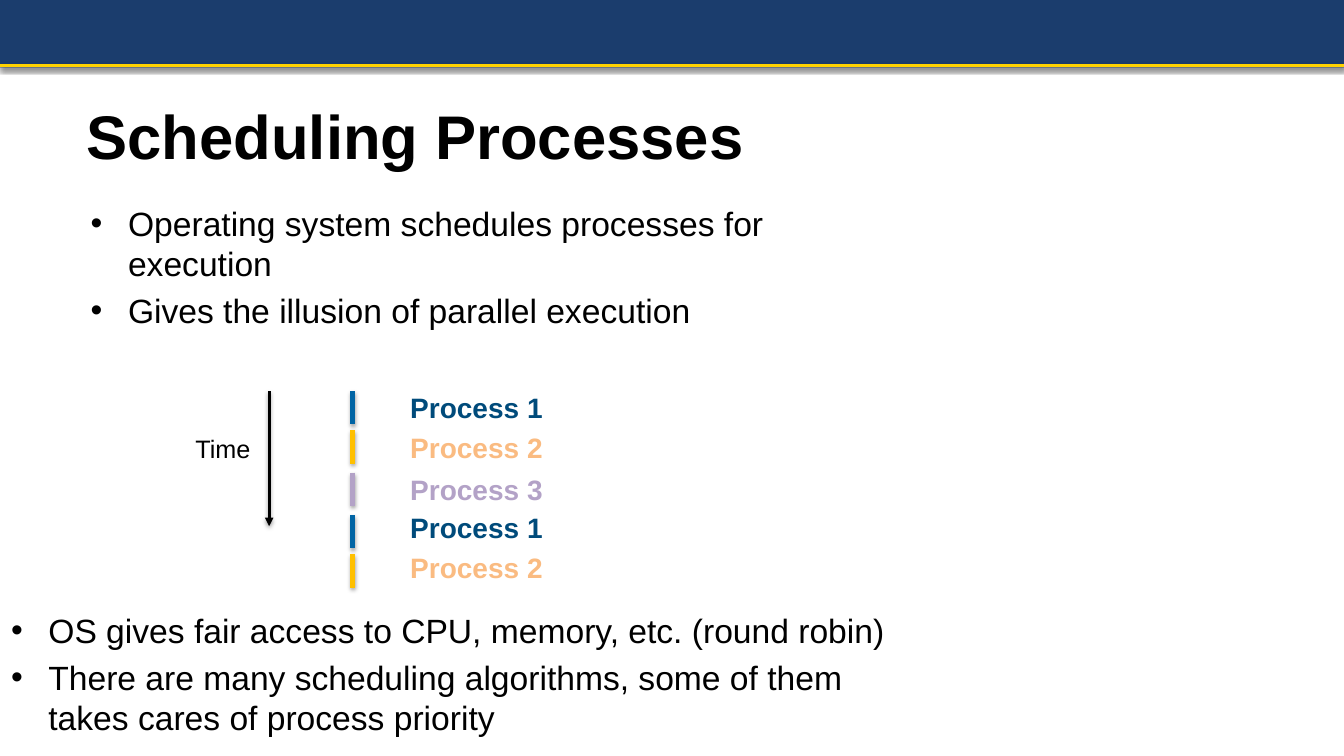
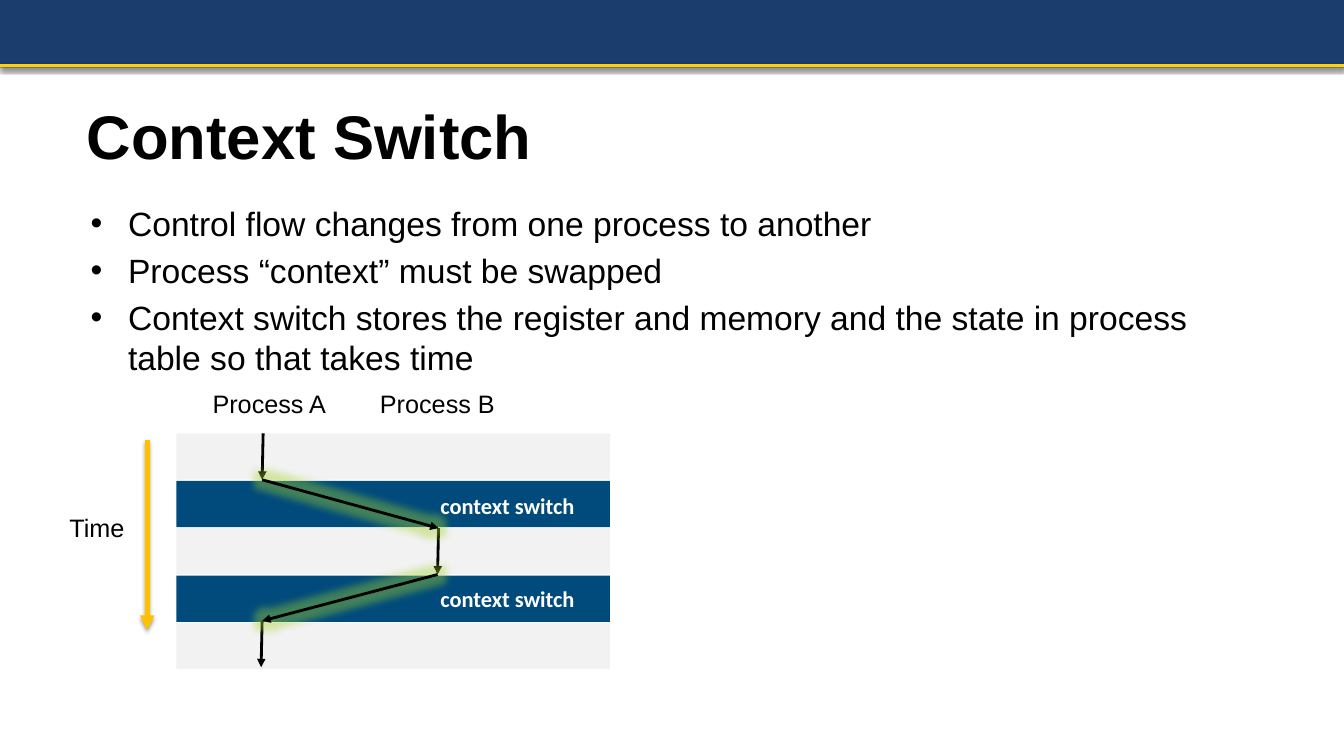
"""Build two slides on process scheduling and context switching."""
import dataclasses
import typing

import lxml.etree
import pptx
import pptx.dml.color
import pptx.enum.shapes
import pptx.enum.text
import pptx.oxml.ns
import pptx.util

Inches = pptx.util.Inches
Pt = pptx.util.Pt
qn = pptx.oxml.ns.qn

NAVY, GOLD = "1B3D6D", "FFD200"
BLACK, WHITE = "000000", "FFFFFF"
BLUE, DEEP_BLUE = "0064A4", "004B7B"
AMBER, PEACH, LILAC = "FFC000", "FABB81", "B3A2C7"
PALE_GREY, GLOW_GREEN = "F2F2F2", "A4D329"
SLIDE_WIDTH, SLIDE_HEIGHT = 13.33, 7.5
Point = tuple[float, float]


@dataclasses.dataclass(frozen=True)
class Effect:
    """A shadow or glow, with lengths in points and alpha in percent."""
    tag: str
    color: str
    alpha: int
    radius: float
    distance: float = 0


@dataclasses.dataclass(frozen=True)
class Process:
    """A scheduled process with its label and time slice colours."""
    name: str
    label_color: str
    slice_color: str


@dataclasses.dataclass(frozen=True)
class TimeSlice:
    """One turn of a process on the timeline."""
    process: Process
    label_top: float
    slice_top: float


@dataclasses.dataclass(frozen=True)
class Step:
    """One step of the control flow."""
    start: Point
    end: Point


BAND_SHADOW = Effect("a:outerShdw", BLACK, 35, 3.1, 1.8)
LINE_SHADOW = Effect("a:outerShdw", BLACK, 38, 3.1, 1.6)
SWITCH_GLOW = Effect("a:glow", GLOW_GREEN, 40, 11)

FIRST = Process("Process 1", DEEP_BLUE, BLUE)
SECOND = Process("Process 2", PEACH, AMBER)
THIRD = Process("Process 3", LILAC, LILAC)
TIME_SLICES = [
    TimeSlice(FIRST, 3.83, 3.88),
    TimeSlice(SECOND, 4.22, 4.27),
    TimeSlice(THIRD, 4.64, 4.69),
    TimeSlice(FIRST, 5.02, 5.11),
    TimeSlice(SECOND, 5.41, 5.5),
]
RUNNING_STEPS = [
    Step((2.61, 4.3), (2.6, 4.76)),
    Step((2.6, 6.16), (2.59, 6.62)),
    Step((4.35, 5.24), (4.34, 5.7)),
]
SWITCH_STEPS = [
    Step((2.6, 4.76), (4.35, 5.24)),
    Step((4.34, 5.7), (2.6, 6.16)),
]


def rgb(color: str) -> pptx.dml.color.RGBColor:
    """Turn a hex string into a colour."""
    return pptx.dml.color.RGBColor.from_string(color)


def set_effect(properties, effect: typing.Optional[Effect]) -> None:
    """Replace the inherited effects with the given one, or with none."""
    effects = properties.find(qn("a:effectLst"))
    if effects is None:
        effects = lxml.etree.SubElement(properties, qn("a:effectLst"))
    if effect is None:
        return
    node = lxml.etree.SubElement(effects, qn(effect.tag))
    if effect.distance:
        node.set("blurRad", str(int(Pt(effect.radius))))
        node.set("dist", str(int(Pt(effect.distance))))
        node.set("dir", "5400000")
        node.set("rotWithShape", "0")
    else:
        node.set("rad", str(int(Pt(effect.radius))))
    tint = lxml.etree.SubElement(node, qn("a:srgbClr"), val=effect.color)
    lxml.etree.SubElement(tint, qn("a:alpha"), val=str(effect.alpha * 1000))


def add_rectangle(slide, left: float, top: float, width: float, height: float,
                  color: str, effect: typing.Optional[Effect] = None):
    """Add a filled rectangle without outline."""
    rectangle = slide.shapes.add_shape(
        pptx.enum.shapes.MSO_SHAPE.RECTANGLE,
        Inches(left), Inches(top), Inches(width), Inches(height))
    rectangle.fill.solid()
    rectangle.fill.fore_color.rgb = rgb(color)
    rectangle.line.fill.background()
    rectangle.shadow.inherit = False
    set_effect(rectangle.element.spPr, effect)
    return rectangle


def style_line(line, color: str, width: float,
               effect: typing.Optional[Effect], arrow: bool) -> None:
    """Set colour, width, effect and arrowhead of a line."""
    line.line.color.rgb = rgb(color)
    line.line.width = Pt(width)
    properties = line.element.spPr
    if arrow:
        lxml.etree.SubElement(properties.find(qn("a:ln")), qn("a:tailEnd"),
                              type="triangle")
    set_effect(properties, effect)


def add_line(slide, start: Point, end: Point, color: str, width: float,
             effect: typing.Optional[Effect] = None, arrow: bool = False):
    """Add a straight line, with an arrowhead at its end if asked."""
    line = slide.shapes.add_connector(
        pptx.enum.shapes.MSO_CONNECTOR.STRAIGHT,
        Inches(start[0]), Inches(start[1]), Inches(end[0]), Inches(end[1]))
    style_line(line, color, width, effect, arrow)
    return line


def add_glowing_arrow(slide, start: Point, end: Point) -> None:
    """Add an open outline with an arrowhead and a glow."""
    outline = slide.shapes.build_freeform(Inches(start[0]), Inches(start[1]))
    outline.add_line_segments([(Inches(end[0]), Inches(end[1]))], close=False)
    arrow = outline.convert_to_shape()
    arrow.fill.background()
    style_line(arrow, BLACK, 2, SWITCH_GLOW, arrow=True)


def format_runs(paragraph, size: float, color: str = BLACK,
                bold: bool = False, font: str = "Arial") -> None:
    """Apply one character style to all runs of a paragraph."""
    for run in paragraph.runs:
        run.font.name = font
        run.font.size = Pt(size)
        run.font.bold = bold
        run.font.color.rgb = rgb(color)


def add_label(slide, text: str, left: float, top: float, width: float,
              height: float = 0.4, size: float = 18, color: str = BLACK,
              bold: bool = False, font: str = "Arial") -> None:
    """Add a one-line label."""
    label = slide.shapes.add_textbox(
        Inches(left), Inches(top), Inches(width), Inches(height))
    frame = label.text_frame
    frame.text = text
    frame.word_wrap = True
    format_runs(frame.paragraphs[0], size, color, bold, font)


def place(shape, left: float, top: float, width: float, height: float) -> None:
    """Move and size a placeholder."""
    shape.left, shape.top = Inches(left), Inches(top)
    shape.width, shape.height = Inches(width), Inches(height)


def set_title(slide, text: str, width: float) -> None:
    """Fill and format the title placeholder."""
    title = slide.shapes.title
    place(title, 0.76, 0.66, width, 1.35)
    frame = title.text_frame
    frame.text = text
    frame.vertical_anchor = pptx.enum.text.MSO_ANCHOR.MIDDLE
    frame.auto_size = pptx.enum.text.MSO_AUTO_SIZE.NONE
    frame.paragraphs[0].alignment = pptx.enum.text.PP_ALIGN.LEFT
    format_runs(frame.paragraphs[0], 44, bold=True)


def set_bullets(body, items: list[str], left: float, top: float,
                width: float, height: float) -> None:
    """Fill and format a body placeholder as a bulleted list."""
    place(body, left, top, width, height)
    frame = body.text_frame
    frame.text = "\n".join(items)
    frame.auto_size = pptx.enum.text.MSO_AUTO_SIZE.SHAPE_TO_FIT_TEXT
    for paragraph in frame.paragraphs:
        paragraph.space_before = Pt(4.8)
        format_runs(paragraph, 24)
        properties = paragraph._p.get_or_add_pPr()
        properties.set("marL", str(int(Inches(0.38))))
        properties.set("indent", str(int(Inches(-0.37))))
        bullet_color = lxml.etree.SubElement(properties, qn("a:buClr"))
        lxml.etree.SubElement(bullet_color, qn("a:srgbClr"), val=BLACK)
        lxml.etree.SubElement(properties, qn("a:buFont"), typeface="Arial")
        lxml.etree.SubElement(properties, qn("a:buChar"), char="•")


def move_header_to_master(presentation, slide) -> None:
    """Draw the header band and its rule, then hand them to the master."""
    band = add_rectangle(slide, 0, 0, SLIDE_WIDTH, 0.67, NAVY, BAND_SHADOW)
    rule = add_line(slide, (0, 0.65), (SLIDE_WIDTH, 0.65), GOLD, 2.25,
                    LINE_SHADOW)
    tree = presentation.slide_master.element.find(".//" + qn("p:spTree"))
    for index, part in enumerate((band, rule)):
        part.element.find(".//" + qn("p:cNvPr")).set("id", str(101 + index))
        tree.insert(2 + index, part.element)


def build_scheduling(slide) -> None:
    """Fill the slide on scheduling processes."""
    set_title(slide, "Scheduling Processes", 6.79)
    set_bullets(slide.placeholders[1], [
        "Operating system schedules processes for execution",
        "Gives the illusion of parallel execution",
    ], 0.79, 1.96, 7.17, 1.37)
    set_bullets(slide.placeholders[2], [
        "OS gives fair access to CPU, memory, etc. (round robin)",
        "There are many scheduling algorithms, some of them takes cares of "
        "process priority",
    ], 0, 6, 9.3, 1.37)
    for turn in TIME_SLICES:
        add_label(slide, turn.process.name, 3.97, turn.label_top, 1.6, 0.43,
                  20, turn.process.label_color, bold=True)
        add_line(slide, (3.5, turn.slice_top), (3.5, turn.slice_top + 0.33),
                 turn.process.slice_color, 3.5, LINE_SHADOW)
    add_line(slide, (2.67, 3.88), (2.67, 5.22), BLACK, 2, LINE_SHADOW,
             arrow=True)
    add_label(slide, "Time", 1.84, 4.25, 0.82)


def build_context_switch(slide) -> None:
    """Fill the slide on the context switch."""
    set_title(slide, "Context Switch", 4.66)
    set_bullets(slide.placeholders[1], [
        "Control flow changes from one process to another",
        "Process “context” must be swapped",
        "Context switch stores the register and memory and the state in "
        "process table so that takes time",
    ], 0.79, 1.96, 11.11, 1.83)
    for row in range(5):
        color = DEEP_BLUE if row % 2 else PALE_GREY
        add_rectangle(slide, 1.75, 4.3 + 0.47 * row, 4.3, 0.46, color)
    add_line(slide, (1.46, 4.37), (1.46, 6.25), AMBER, 3.5, LINE_SHADOW,
             arrow=True)
    add_label(slide, "Time", 0.59, 5.03, 0.82)
    add_label(slide, "Process A", 2.01, 3.8, 1.42)
    add_label(slide, "Process B", 3.67, 3.8, 1.42)
    for top in (4.83, 5.76):
        add_label(slide, "context switch", 4.27, top, 2.03, 0.36, 16, WHITE,
                  bold=True, font="Calibri")
    for step in RUNNING_STEPS:
        add_line(slide, step.start, step.end, BLACK, 2, arrow=True)
    for step in SWITCH_STEPS:
        add_glowing_arrow(slide, step.start, step.end)


def main() -> None:
    """Build and save the presentation."""
    presentation = pptx.Presentation()
    presentation.slide_width = Inches(SLIDE_WIDTH)
    presentation.slide_height = Inches(SLIDE_HEIGHT)
    layouts = presentation.slide_layouts
    scheduling = presentation.slides.add_slide(layouts[3])
    context_switch = presentation.slides.add_slide(layouts[1])
    move_header_to_master(presentation, scheduling)
    build_scheduling(scheduling)
    build_context_switch(context_switch)
    presentation.save("out.pptx")


if __name__ == "__main__":
    main()
